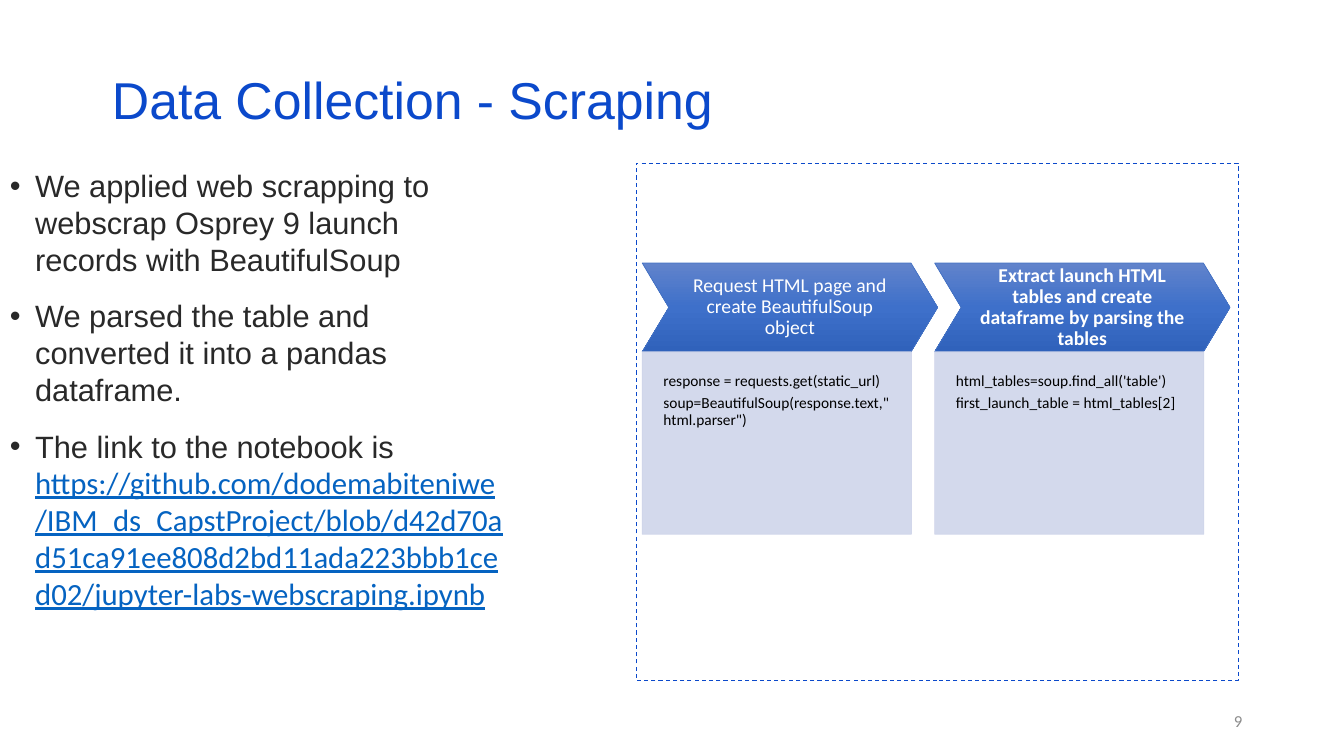
from copy import deepcopy

from lxml import etree
from pptx import Presentation
from pptx.dml.color import RGBColor
from pptx.enum.dml import MSO_LINE
from pptx.enum.shapes import MSO_SHAPE
from pptx.enum.text import MSO_ANCHOR, MSO_AUTO_SIZE, PP_ALIGN
from pptx.oxml.ns import qn
from pptx.util import Inches, Pt

RECTANGLE, CHEVRON = MSO_SHAPE.RECTANGLE, MSO_SHAPE.CHEVRON
LEFT, CENTER, RIGHT = PP_ALIGN.LEFT, PP_ALIGN.CENTER, PP_ALIGN.RIGHT
TOP, MIDDLE = MSO_ANCHOR.TOP, MSO_ANCHOR.MIDDLE
NO_AUTOFIT = MSO_AUTO_SIZE.NONE
DASH = MSO_LINE.DASH

WHITE = RGBColor(0xFF, 0xFF, 0xFF)
BLACK = RGBColor(0x00, 0x00, 0x00)
GRAY = RGBColor(0x8C, 0x8C, 0x8C)
INK = RGBColor(0x29, 0x29, 0x29)
TITLE_BLUE = RGBColor(0x0B, 0x49, 0xCB)
LINK_BLUE = RGBColor(0x05, 0x63, 0xC1)
CHEVRON_LINE = RGBColor(0x44, 0x72, 0xC4)
CHEVRON_TOP = RGBColor(0x61, 0x83, 0xCB)
CHEVRON_MIDDLE = RGBColor(0x3E, 0x70, 0xCA)
CHEVRON_BOTTOM = RGBColor(0x30, 0x62, 0xBB)
PANEL = RGBColor(0xCF, 0xD5, 0xEA)

HEADING_FONT, BODY_FONT = "Arial", "Calibri"

NOTEBOOK = (
    "https://github.com/dodemabiteniwe/IBM_ds_CapstProject/blob/"
    "d42d70ad51ca91ee808d2bd11ada223bbb1ced02/jupyter-labs-webscraping.ipynb"
)
BULLETS = [
    ("We applied web scrapping to webscrap Osprey 9 launch records with BeautifulSoup ", ""),
    ("We parsed the table and converted it into a pandas dataframe.", ""),
    ("The link to the notebook is ", NOTEBOOK),
]
STEPS = [
    (
        "Request HTML page and create BeautifulSoup object",
        False,
        ["response = requests.get(static_url)", 'soup=BeautifulSoup(response.text,"html.parser")'],
    ),
    (
        "Extract launch HTML tables and create dataframe by parsing the tables",
        True,
        ["html_tables=soup.find_all('table')", "first_launch_table = html_tables[2]"],
    ),
]


class ScrapingSlide:
    """Holds the slide and draws its elements in one shared style."""

    def __init__(self, presentation):
        self.slide = presentation.slides.add_slide(presentation.slide_layouts[5])

    def format_font(self, font, name, size, color, bold=False):
        font.name, font.size, font.bold = name, Pt(size), bold
        font.color.rgb = color

    def prepare_frame(self, shape, anchor, insets):
        frame = shape.text_frame
        frame.word_wrap, frame.auto_size = True, NO_AUTOFIT
        frame.vertical_anchor = anchor
        frame.margin_left, frame.margin_top, frame.margin_right, frame.margin_bottom = map(Inches, insets)
        return frame

    def fill_text(self, shape, lines, size, color, align=LEFT, anchor=MIDDLE, spacing=0.9,
                  name=BODY_FONT, bold=False, insets=(0.1, 0.05, 0.1, 0.05)):
        frame = self.prepare_frame(shape, anchor, insets)
        frame.text = "\n".join(lines)
        for paragraph in frame.paragraphs:
            paragraph.alignment, paragraph.line_spacing = align, spacing
            paragraph.space_after = Pt(4)
            self.format_font(paragraph.font, name, size, color, bold)

    def title(self, text, left, top, width, height):
        shape = self.slide.shapes.title
        shape.left, shape.top, shape.width, shape.height = map(Inches, (left, top, width, height))
        self.fill_text(shape, [text], 37, TITLE_BLUE, spacing=0.7, name=HEADING_FONT)

    def text_box(self, *box):
        return self.slide.shapes.add_textbox(*map(Inches, box))

    def page_number(self, text, *box):
        self.fill_text(self.text_box(*box), [text], 12, GRAY, align=RIGHT, spacing=1.0)

    def bullet_list(self, items, *box):
        frame = self.prepare_frame(self.text_box(*box), TOP, (0.1, 0.05, 0.1, 0.05))
        for index, (text, link) in enumerate(items):
            paragraph = frame.add_paragraph() if index else frame.paragraphs[0]
            properties = paragraph._p.get_or_add_pPr()
            properties.set("marL", str(Inches(0.25)))
            properties.set("indent", str(Inches(-0.25)))
            etree.SubElement(properties, qn("a:buFont"), typeface=HEADING_FONT)
            etree.SubElement(properties, qn("a:buChar"), char="•")
            paragraph.line_spacing = Pt(26.3)
            paragraph.space_before = Pt(14 if index else 0)
            self.format_font(paragraph.font, HEADING_FONT, 22, INK)
            paragraph.add_run().text = text
            if link:
                run = paragraph.add_run()
                run.text = link
                self.format_font(run.font, BODY_FONT, 22, LINK_BLUE)
                run.font.underline = True

    def shape(self, kind, line_color, line_width, *box):
        shape = self.slide.shapes.add_shape(kind, *map(Inches, box))
        shape.shadow.inherit = False
        shape.line.color.rgb, shape.line.width = line_color, Pt(line_width)
        return shape

    def dashed_frame(self, *box):
        frame = self.shape(RECTANGLE, TITLE_BLUE, 0.75, *box)
        frame.fill.background()
        frame.line.dash_style = DASH

    def chevron(self, text, bold, *box):
        chevron = self.shape(CHEVRON, CHEVRON_LINE, 0.5, *box)
        chevron.adjustments[0] = 0.3
        fill = chevron.fill
        fill.gradient()
        fill.gradient_angle = 270
        stop_list = chevron._element.spPr.find(qn("a:gradFill")).find(qn("a:gsLst"))
        stop_list.insert(1, deepcopy(stop_list[0]))
        colors = (CHEVRON_TOP, CHEVRON_MIDDLE, CHEVRON_BOTTOM)
        for stop, color, position in zip(fill.gradient_stops, colors, (0, 0.5, 1)):
            stop.color.rgb, stop.position = color, position
        self.fill_text(chevron, [text], 14, WHITE, align=CENTER, bold=bold, insets=(0.11,) * 4)

    def code_panel(self, lines, *box):
        panel = self.shape(RECTANGLE, PANEL, 0.5, *box)
        panel.fill.solid()
        panel.fill.fore_color.rgb = PANEL
        for color in panel._element.spPr.iter(qn("a:srgbClr")):
            etree.SubElement(color, qn("a:alpha"), val="90000")
        self.fill_text(panel, lines, 11, BLACK, anchor=TOP, insets=(0.21, 0.21, 0.21, 0.42))


def main():
    presentation = Presentation()
    presentation.slide_width, presentation.slide_height = Inches(13.33), Inches(7.5)
    page = ScrapingSlide(presentation)
    page.title("Data Collection - Scraping", 1.01, 0.76, 11.5, 0.6)
    page.page_number("9", 9.42, 6.95, 3, 0.4)
    page.bullet_list(BULLETS, 0, 1.61, 5.09, 5.13)
    page.dashed_frame(6.31, 1.62, 5.97, 5.13)
    for index, (heading, bold, code) in enumerate(STEPS):
        left = 6.37 + 2.9 * index
        page.chevron(heading, bold, left, 2.61, 2.93, 0.88)
        page.code_panel(code, left, 3.49, 2.67, 1.81)
    presentation.save("out.pptx")


if __name__ == "__main__":
    main()
